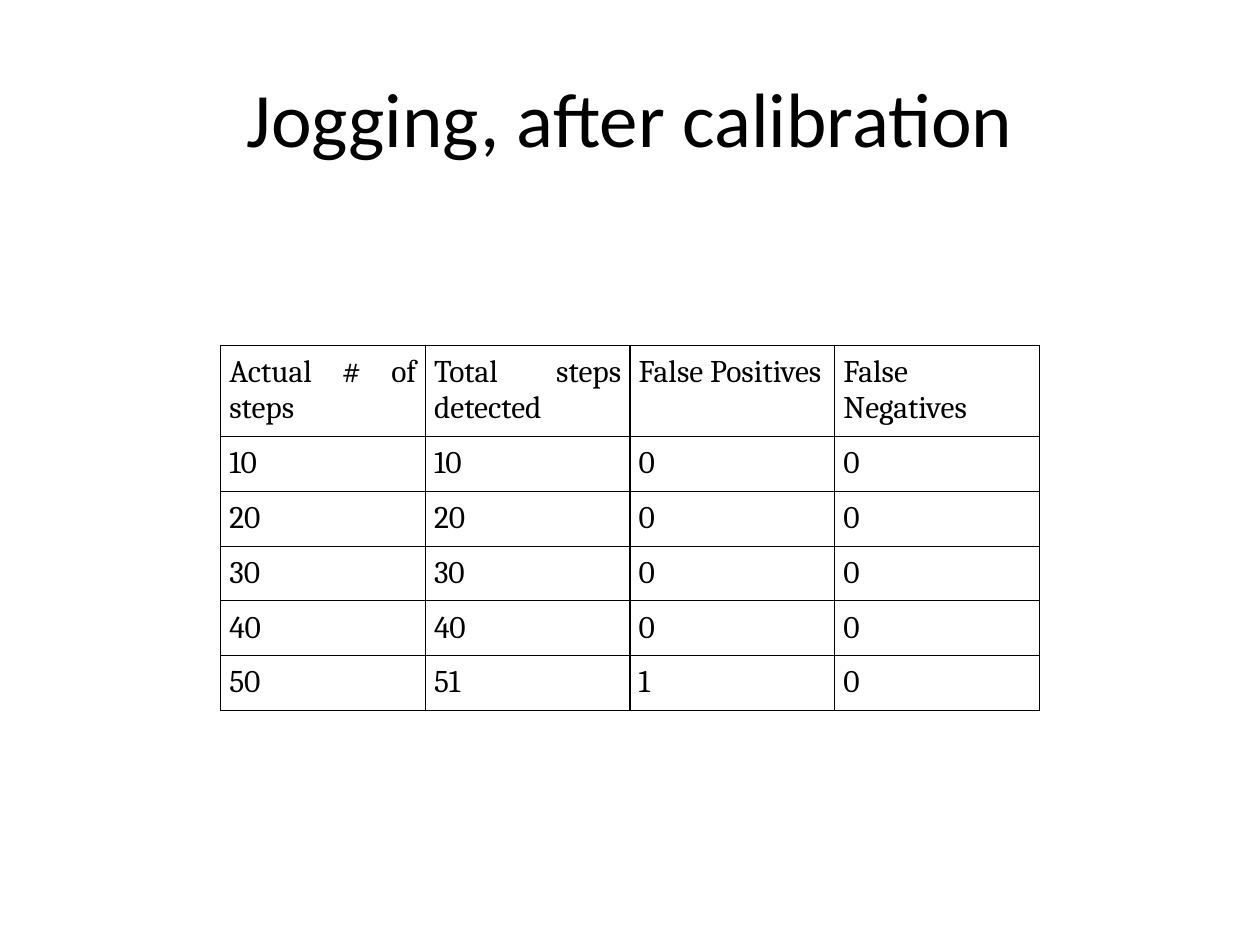
from lxml.etree import SubElement
from pptx import Presentation
from pptx.dml.color import RGBColor
from pptx.enum.text import MSO_ANCHOR, PP_ALIGN
from pptx.oxml.ns import qn
from pptx.util import Inches, Pt

WIDE, HIGH = 10, 7.5
INK, PAPER = "000000", "FFFFFF"
HEADS = ["Actual # of steps", "Total steps detected",
         "False Positives", "False Negatives"]
STEPS = [(10, 10, 0, 0), (20, 20, 0, 0), (30, 30, 0, 0),
         (40, 40, 0, 0), (50, 51, 1, 0)]


def paint(target, tone):
    """Give a fill or font colour a solid tone."""
    target.rgb = RGBColor.from_string(tone)


def style(para, face, size, align):
    para.alignment = align
    para.font.name = face
    para.font.size = Pt(size)
    para.font.bold = False
    paint(para.font.color, INK)


def border(cell, width=0.75):
    """Draw all four edges; they must come before the cell's fill."""
    props = cell._tc.get_or_add_tcPr()
    for side in ("lnL", "lnR", "lnT", "lnB"):
        line = SubElement(props, qn(f"a:{side}"), w=str(Pt(width)))
        solid = SubElement(line, qn("a:solidFill"))
        SubElement(solid, qn("a:srgbClr"), val=INK)


def add_title(slide, box, text):
    title = slide.shapes.title
    title.left, title.top, title.width, title.height = map(Inches, box)
    frame = title.text_frame
    frame.text = text
    frame.vertical_anchor = MSO_ANCHOR.MIDDLE
    style(frame.paragraphs[0], "Calibri", 44, PP_ALIGN.CENTER)


def fill_cell(cell, text):
    cell.margin_left = cell.margin_right = Inches(0.07)
    cell.margin_top = cell.margin_bottom = Inches(0.07)
    cell.text = str(text)
    style(cell.text_frame.paragraphs[0], "Cambria", 18, PP_ALIGN.JUSTIFY)
    border(cell)
    cell.fill.background()


def add_grid(slide, box, rows):
    left, top, width, height = map(Inches, box)
    table = slide.shapes.add_table(
        len(rows), len(rows[0]), left, top, width, height).table
    table.first_row = table.horz_banding = False
    # The header takes a quarter of the height, the rest share evenly
    table.rows[0].height = height // 4
    for row in list(table.rows)[1:]:
        row.height = height * 3 // 4 // (len(rows) - 1)
    for r, row in enumerate(rows):
        for c, text in enumerate(row):
            fill_cell(table.cell(r, c), text)


def main():
    deck = Presentation()
    deck.slide_width, deck.slide_height = Inches(WIDE), Inches(HIGH)
    slide = deck.slides.add_slide(deck.slide_layouts[5])
    back = slide.background.fill
    back.solid()
    paint(back.fore_color, PAPER)

    # Title across the top, table centred below
    add_title(slide, (0.05 * WIDE, 0.04 * HIGH, 0.9 * WIDE, HIGH / 6),
              "Jogging, after calibration")
    add_grid(slide, (0.175 * WIDE, 2.74, 0.65 * WIDE, 2.9),
             [HEADS, *STEPS])
    deck.save("out.pptx")


if __name__ == "__main__":
    main()
